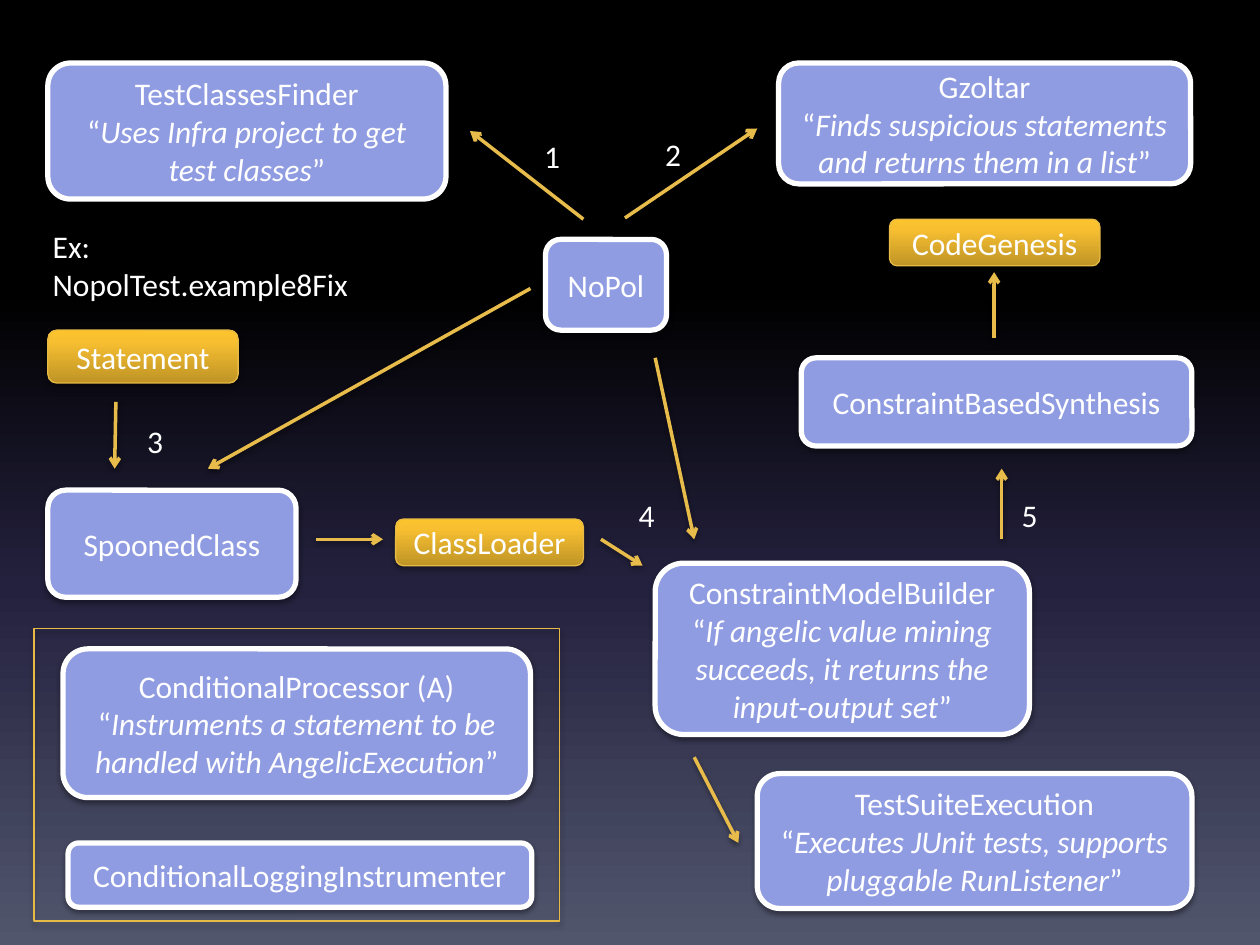
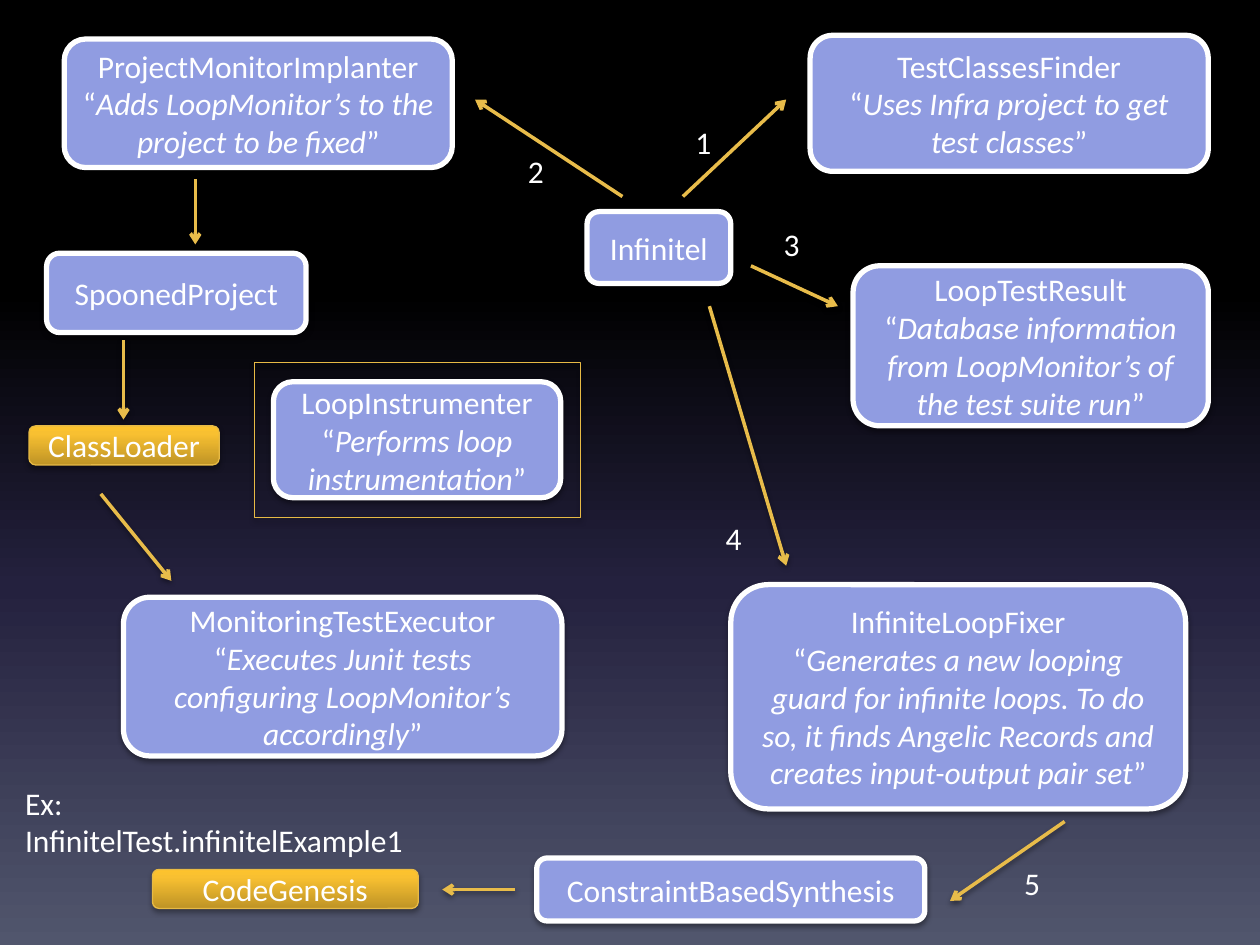
from lxml import etree
from pptx import Presentation
from pptx.dml.color import RGBColor
from pptx.enum.shapes import MSO_CONNECTOR, MSO_SHAPE
from pptx.enum.text import MSO_ANCHOR, MSO_AUTO_SIZE, PP_ALIGN
from pptx.oxml.ns import qn
from pptx.util import Inches, Pt

FONT, TEXT_SIZE = "Calibri", 18
WHITE, PERIWINKLE, GOLD_EDGE, ARROW = "FFFFFF", "909CE1", "E7BA45", "E8BC4A"
NIGHT = [(0, "000000"), (31, "000000"), (62, "24213E"), (100, "51566D")]
GOLD = [(0, "BF9426"), (80, "F8C031"), (100, "FDC32D")]
BOX_SHADOW, GOLD_SHADOW = (38, 1.6), (35, 1.8)

SLIDES = [
    {
        "frame": (0.27, 4.99, 4.17, 2.32),
        "components": [
            ((4.33, 1.9, 0.96, 0.72), "NoPol", ""),
            ((0.38, 0.5, 3.16, 1.08), "TestClassesFinder",
             "Uses Infra project to get\ntest classes"),
            ((6.18, 0.5, 3.27, 0.96), "Gzoltar",
             "Finds suspicious statements\nand returns them in a list"),
            ((0.5, 5.15, 3.71, 1.18), "ConditionalProcessor (A)",
             "Instruments a statement to be handled with AngelicExecution"),
            ((0.38, 3.89, 1.97, 0.85), "SpoonedClass", ""),
            ((6.01, 6.14, 3.45, 1.07), "TestSuiteExecution",
             "Executes JUnit tests, supports pluggable RunListener"),
            ((6.36, 2.84, 3.1, 0.7), "ConstraintBasedSynthesis", ""),
            ((0.54, 6.69, 3.68, 0.51), "ConditionalLoggingInstrumenter", ""),
            ((5.2, 4.47, 2.97, 1.36), "ConstraintModelBuilder",
             "If angelic value mining succeeds, it returns the input-output set"),
        ],
        "artifacts": [
            ((0.38, 2.62, 1.51, 0.42), "Statement"),
            ((3.14, 4.12, 1.49, 0.37), "ClassLoader"),
            ((7.06, 1.74, 1.67, 0.37), "CodeGenesis"),
        ],
        "arrows": [
            (4.63, 1.74, 3.73, 1.04), (4.96, 1.73, 6.01, 1.02),
            (0.92, 3.19, 0.91, 3.72), (4.21, 2.29, 1.65, 3.72),
            (2.51, 4.28, 3.04, 4.28), (5.2, 2.84, 5.51, 4.28),
            (4.77, 4.28, 5.1, 4.49), (5.51, 6.01, 5.86, 6.69),
            (7.95, 4.28, 7.95, 3.72), (7.89, 2.68, 7.89, 2.16),
        ],
        "example": ((0.32, 1.75, 2.67, 0.71), "Ex:\nNopolTest.example8Fix"),
        "steps": [(4.22, 1.04), (5.18, 1.02), (1.07, 3.3), (4.97, 3.89), (8.01, 3.89)],
    },
    {
        "frame": (2.02, 2.88, 2.59, 1.23),
        "components": [
            ((4.66, 1.68, 1.14, 0.57), "Infinitel", ""),
            ((0.51, 0.31, 3.08, 1.02), "ProjectMonitorImplanter",
             "Adds LoopMonitor’s to the project to be fixed"),
            ((6.43, 0.28, 3.16, 1.08), "TestClassesFinder",
             "Uses Infra project to get\ntest classes"),
            ((2.17, 3.03, 2.28, 0.92), "LoopInstrumenter",
             "Performs loop instrumentation"),
            ((0.37, 2.01, 2.06, 0.63), "SpoonedProject", ""),
            ((0.98, 4.74, 3.48, 1.26), "MonitoringTestExecutor",
             "Executes Junit tests configuring LoopMonitor’s accordingly"),
            ((6.77, 2.11, 2.82, 1.27), "LoopTestResult",
             "Database information from LoopMonitor’s of the test suite run"),
            ((5.8, 4.64, 3.61, 1.78), "InfiniteLoopFixer",
             "Generates a new looping guard for infinite loops. To do so, it finds "
             "Angelic Records and creates input-output pair set"),
            ((4.26, 6.81, 3.08, 0.5), "ConstraintBasedSynthesis", ""),
        ],
        "artifacts": [
            ((1.21, 6.9, 2.11, 0.31), "CodeGenesis"),
            ((0.23, 3.38, 1.51, 0.31), "ClassLoader"),
        ],
        "arrows": [
            (5.42, 1.56, 6.24, 0.79), (4.94, 1.56, 3.77, 0.79),
            (1.55, 1.42, 1.55, 1.94), (0.98, 2.7, 0.98, 3.33),
            (0.8, 3.92, 1.36, 4.61), (5.96, 2.11, 6.65, 2.43),
            (5.63, 2.43, 6.24, 4.49), (8.45, 6.52, 7.54, 7.15),
            (4.09, 7.06, 3.51, 7.06),
        ],
        "example": ((0.1, 6.17, 3.32, 0.71), "Ex:\nInfinitelTest.infinitelExample1"),
        "steps": [(5.42, 0.93), (4.09, 1.16), (6.12, 1.74), (5.66, 4.07), (8.03, 6.81)],
    },
]


def rgb(value):
    return RGBColor.from_string(value)


def inches(values):
    return [Inches(value) for value in values]


def set_gradient(fill, owner, stops, angle):
    fill.gradient()
    fill.gradient_angle = angle
    stop_list = owner.find(".//" + qn("a:gsLst"))
    for stop in list(stop_list):
        stop_list.remove(stop)
    for position, color in stops:
        stop = etree.SubElement(stop_list, qn("a:gs"), pos=str(position * 1000))
        etree.SubElement(stop, qn("a:srgbClr"), val=color)


def add_shadow(effects, opacity, distance):
    shadow = etree.SubElement(
        effects, qn("a:outerShdw"), blurRad=str(Pt(3.1)), dist=str(Pt(distance)),
        dir="5400000", rotWithShape="0")
    color = etree.SubElement(shadow, qn("a:srgbClr"), val="000000")
    etree.SubElement(color, qn("a:alpha"), val=str(opacity * 1000))


def set_line(line, color, width):
    line.color.rgb = rgb(color)
    line.width = Pt(width)


def add_run(paragraph, text, italic=False):
    run = paragraph.add_run()
    run.text = text
    run.font.name, run.font.size = FONT, Pt(TEXT_SIZE)
    run.font.color.rgb = rgb(WHITE)
    if italic:
        run.font.italic = True


def add_shape(slide, kind, place, line, shadow):
    shape = slide.shapes.add_shape(kind, *inches(place))
    set_line(shape.line, *line)
    shape.shadow.inherit = False
    add_shadow(shape.element.spPr.find(qn("a:effectLst")), *shadow)
    return shape


def add_frame(slide, place):
    frame = add_shape(slide, MSO_SHAPE.RECTANGLE, place, (GOLD_EDGE, 0.75), GOLD_SHADOW)
    frame.fill.background()


def write_label(shape, name, quote=""):
    frame = shape.text_frame
    frame.word_wrap = True
    frame.vertical_anchor = MSO_ANCHOR.MIDDLE
    add_run(frame.paragraphs[0], name)
    lines = quote.split("\n") if quote else []
    for index, line in enumerate(lines):
        paragraph = frame.add_paragraph()
        if index == 0:
            add_run(paragraph, "“")
        add_run(paragraph, line, italic=True)
        if index == len(lines) - 1:
            add_run(paragraph, "”")
    for paragraph in frame.paragraphs:
        paragraph.alignment = PP_ALIGN.CENTER


def add_component(slide, place, name, quote):
    box = add_shape(slide, MSO_SHAPE.ROUNDED_RECTANGLE, place, (WHITE, 3), BOX_SHADOW)
    box.fill.solid()
    box.fill.fore_color.rgb = rgb(PERIWINKLE)
    write_label(box, name, quote)


def add_artifact(slide, place, name):
    box = add_shape(slide, MSO_SHAPE.ROUNDED_RECTANGLE, place, (GOLD_EDGE, 0.75), GOLD_SHADOW)
    set_gradient(box.fill, box.element.spPr, GOLD, 90)
    write_label(box, name)


def add_arrow(slide, ends):
    arrow = slide.shapes.add_connector(MSO_CONNECTOR.STRAIGHT, *inches(ends))
    set_line(arrow.line, ARROW, 2)
    properties = arrow.element.spPr
    etree.SubElement(properties.find(qn("a:ln")), qn("a:tailEnd"), type="arrow")
    add_shadow(etree.SubElement(properties, qn("a:effectLst")), *BOX_SHADOW)


def add_note(slide, place, text):
    frame = slide.shapes.add_textbox(*inches(place)).text_frame
    frame.word_wrap = False
    frame.auto_size = MSO_AUTO_SIZE.SHAPE_TO_FIT_TEXT
    for index, line in enumerate(text.split("\n")):
        add_run(frame.add_paragraph() if index else frame.paragraphs[0], line)


prs = Presentation()
prs.slide_width, prs.slide_height = inches((10, 7.5))
master = prs.slide_master
set_gradient(master.background.fill, master.element, NIGHT, 270)

for content in SLIDES:
    slide = prs.slides.add_slide(prs.slide_layouts[6])
    add_frame(slide, content["frame"])
    for component in content["components"]:
        add_component(slide, *component)
    for artifact in content["artifacts"]:
        add_artifact(slide, *artifact)
    for ends in content["arrows"]:
        add_arrow(slide, ends)
    add_note(slide, *content["example"])
    for number, (left, top) in enumerate(content["steps"], start=1):
        add_note(slide, (left, top, 0.32, 0.4), str(number))

prs.save("out.pptx")
